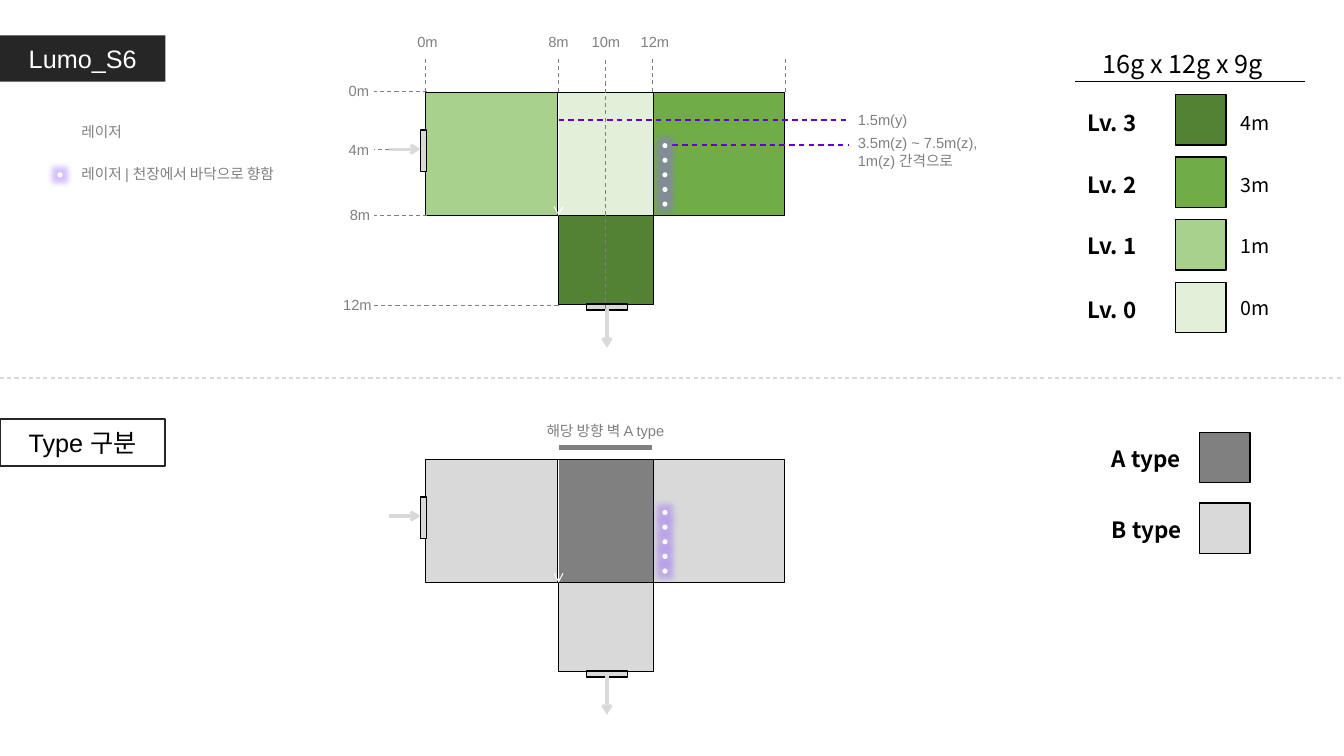
from lxml import etree
from pptx import Presentation
from pptx.dml.color import RGBColor
from pptx.enum.dml import MSO_LINE
from pptx.enum.shapes import MSO_CONNECTOR, MSO_SHAPE
from pptx.enum.text import MSO_ANCHOR, MSO_AUTO_SIZE, PP_ALIGN
from pptx.oxml.ns import qn
from pptx.util import Inches, Pt

RECT, OVAL = MSO_SHAPE.RECTANGLE, MSO_SHAPE.OVAL
STRAIGHT, DASH = MSO_CONNECTOR.STRAIGHT, MSO_LINE.DASH
LEFT, MID = PP_ALIGN.LEFT, PP_ALIGN.CENTER
NONE, GROW = MSO_AUTO_SIZE.NONE, MSO_AUTO_SIZE.SHAPE_TO_FIT_TEXT

HUES = {
    "black": "000000", "white": "FFFFFF", "ink": "262626",
    "gray": "808080", "pale": "D9D9D9", "beam": "6600CC", "glow": "9966FF",
    "lv0": "E2F0D9", "lv1": "A9D18E", "lv2": "70AD47", "lv3": "548235",
}
RGB = {name: RGBColor.from_string(code) for name, code in HUES.items()}
SANS, NOTO = "Arial", "Noto Sans CJK KR"
STYLES = {
    "head": {"size": Pt(18), "name": SANS, "bold": False},
    "note": {"size": Pt(10.5), "name": SANS, "bold": False},
    "sum": {"size": Pt(18), "name": NOTO, "bold": False},
    "key": {"size": Pt(16), "name": NOTO, "bold": True},
    "val": {"size": Pt(14), "name": NOTO, "bold": False},
}

deck = Presentation()
deck.slide_width, deck.slide_height = Inches(13.33), Inches(7.5)
slide = deck.slides.add_slide(deck.slide_layouts[5])
shapes = slide.shapes


def paint(shape, fill, edge=None, width=1):
    shape.fill.solid()
    shape.fill.fore_color.rgb = RGB[fill]
    if edge:
        shape.line.color.rgb = RGB[edge]
        shape.line.width = Pt(width)
    else:
        shape.line.fill.background()


def write(shape, text, style, hue, align=LEFT, fit=GROW):
    frame = shape.text_frame
    frame.word_wrap = True
    frame.auto_size = fit
    frame.text = text
    for para in frame.paragraphs:
        para.alignment = align
        for run in para.runs:
            for name, value in STYLES[style].items():
                setattr(run.font, name, value)
            run.font.color.rgb = RGB[hue]
            east = etree.SubElement(run.font._element, qn("a:ea"))
            east.set("typeface", NOTO)


# Section heads
head = shapes.title
head.left, head.top, head.width, head.height = map(Inches, (0, 0.35, 1.64, 0.46))
paint(head, "ink")
write(head, "Lumo_S6", "head", "white", MID, NONE)
kind = shapes.add_shape(RECT, *map(Inches, (0, 4.16, 1.64, 0.46)))
kind.shadow.inherit = False
paint(kind, "white", "ink", 1.5)
write(kind, "Type 구분", "head", "black", MID, NONE)
for shape in (head, kind):
    shape.text_frame.vertical_anchor = MSO_ANCHOR.MIDDLE

boxes = []   # left, top, width, height, turn, fill
lines = [    # from x, from y, to x, to y, hue, width, dashed, arrow
    (10.66, 0.81, 12.94, 0.81, "black", 1, False, False),
    (0, 3.75, 13.33, 3.75, "pale", 0.75, True, False),
    (5.54, 1.19, 8.41, 1.19, "beam", 1, True, False),
    (6.67, 1.44, 8.41, 1.44, "beam", 1, True, False),
    (5.54, 4.44, 6.47, 4.44, "gray", 3, False, False),
]
labels = [   # left, top, width, height, text, style, hue, align
    (10.63, 0.43, 2.2, 0.4, "16g x 12g x 9g", "sum", "black", MID),
    (8.41, 1.05, 1, 0.28, "1.5m(y)", "note", "gray", LEFT),
    (8.41, 1.28, 1.63, 0.45, "3.5m(z) ~ 7.5m(z),\n1m(z) 간격으로", "note", "gray", LEFT),
    (0.71, 1.17, 1.72, 0.28, "레이저", "note", "gray", LEFT),
    (0.71, 1.59, 2.99, 0.28, "레이저 | 천장에서 바닥으로 향함", "note", "gray", LEFT),
    (5.12, 4.14, 1.77, 0.28, "해당 방향 벽 A type", "note", "gray", MID),
]

# Height and type keys
levels = [("Lv. 3", "4m", "lv3", 1.03, 1.05), ("Lv. 2", "3m", "lv2", 1.65, 1.67),
          ("Lv. 1", "1m", "lv1", 2.25, 2.27), ("Lv. 0", "0m", "lv0", 2.89, 2.89)]
for i, (level, rise, fill, top, low) in enumerate(levels):
    boxes.append((11.66, 0.94 + 0.62 * i, 0.5, 0.5, 0, fill))
    labels.append((10.69, top, 1.07, 0.37, level, "key", "black", LEFT))
    labels.append((12.21, low, 0.71, 0.33, rise, "val", "black", LEFT))
for i, (name, fill) in enumerate([("A type", "gray"), ("B type", "pale")]):
    boxes.append((11.9, 4.29 + 0.7 * i, 0.5, 0.5, 0, fill))
    labels.append((10.93, 4.37 + 0.7 * i, 1.07, 0.37, name, "key", "black", LEFT))

# Floor plans: rooms, doors and arrows
plans = [(0, "lv3", "lv1", "lv2", "lv0"), (3.64, "pale", "pale", "pale", "gray")]
for drop, stem, west, east, core in plans:
    boxes += [
        (5.54, 2.14 + drop, 0.94, 0.88, 0, stem),
        (4.22, 0.92 + drop, 1.31, 1.22, 0, west),
        (6.47, 0.92 + drop, 1.31, 1.22, 0, east),
        (4.17, 1.29 + drop, 0.06, 0.41, 0, "pale"),
        (5.99, 2.84 + drop, 0.06, 0.41, 270, "pale"),
        (5.54, 0.92 + drop, 0.94, 1.22, 0, core),
    ]
    lines += [
        (3.86, 1.48 + drop, 4.17, 1.48 + drop, "pale", 2.25, False, True),
        (6.02, 3.07 + drop, 6.02, 3.45 + drop, "pale", 2.25, False, True),
        (5.54, 0.92 + drop, 5.54, 2.14 + drop, "white", 0.75, False, True),
    ]

# Scale marks
for x, low in [(4.22, 0.91), (5.54, 0.91), (6.47, 0.91), (7.79, 0.91), (6.01, 3.07)]:
    lines.append((x, low, x, 0.57, "gray", 0.75, True, False))
for y, x in [(0.91, 4.24), (1.48, 3.86), (2.14, 4.24), (3.03, 5.54)]:
    lines.append((x, y, 3.71, y, "gray", 0.75, True, False))
marks = [(4.01, 0.28, 0.46, "0m"), (5.31, 0.28, 0.46, "8m"),
         (5.74, 0.28, 0.54, "10m"), (6.22, 0.28, 0.55, "12m"),
         (3.33, 0.76, 0.46, "0m"), (3.33, 1.35, 0.46, "4m"),
         (3.34, 1.99, 0.46, "8m"), (3.27, 2.89, 0.55, "12m")]
for x, y, wide, text in marks:
    labels.append((x, y, wide, 0.28, text, "note", "gray", MID))

# Draw boxes
for *spot, turn, fill in boxes:
    box = shapes.add_shape(RECT, *map(Inches, spot))
    box.shadow.inherit = False
    box.rotation = turn
    paint(box, fill, "black")

# Draw lines
for *ends, hue, width, dashed, arrow in lines:
    line = shapes.add_connector(STRAIGHT, *map(Inches, ends))
    line.line.color.rgb = RGB[hue]
    line.line.width = Pt(width)
    if dashed:
        line.line.dash_style = DASH
    if arrow:
        tail = etree.SubElement(line.line._get_or_add_ln(), qn("a:tailEnd"))
        tail.set("type", "arrow")
    etree.SubElement(line._element.spPr, qn("a:effectLst"))

# Draw glowing laser dots
for x, y, count in [(6.57, 1.42, 5), (6.57, 5.06, 5), (0.57, 1.71, 1)]:
    home = shapes.add_group_shape().shapes if count > 1 else shapes
    for i in range(count):
        dot = home.add_shape(OVAL, *map(Inches, (x, y + 0.145 * i, 0.05, 0.05)))
        paint(dot, "white")
        effect = etree.SubElement(dot._element.spPr, qn("a:effectLst"))
        glow = etree.SubElement(effect, qn("a:glow"), rad=str(Pt(8)))
        tint = etree.SubElement(glow, qn("a:srgbClr"), val=HUES["glow"])
        etree.SubElement(tint, qn("a:alpha"), val="40000")

# Draw labels
for *spot, text, style, hue, align in labels:
    label = shapes.add_textbox(*map(Inches, spot))
    write(label, text, style, hue, align)

deck.save("out.pptx")
